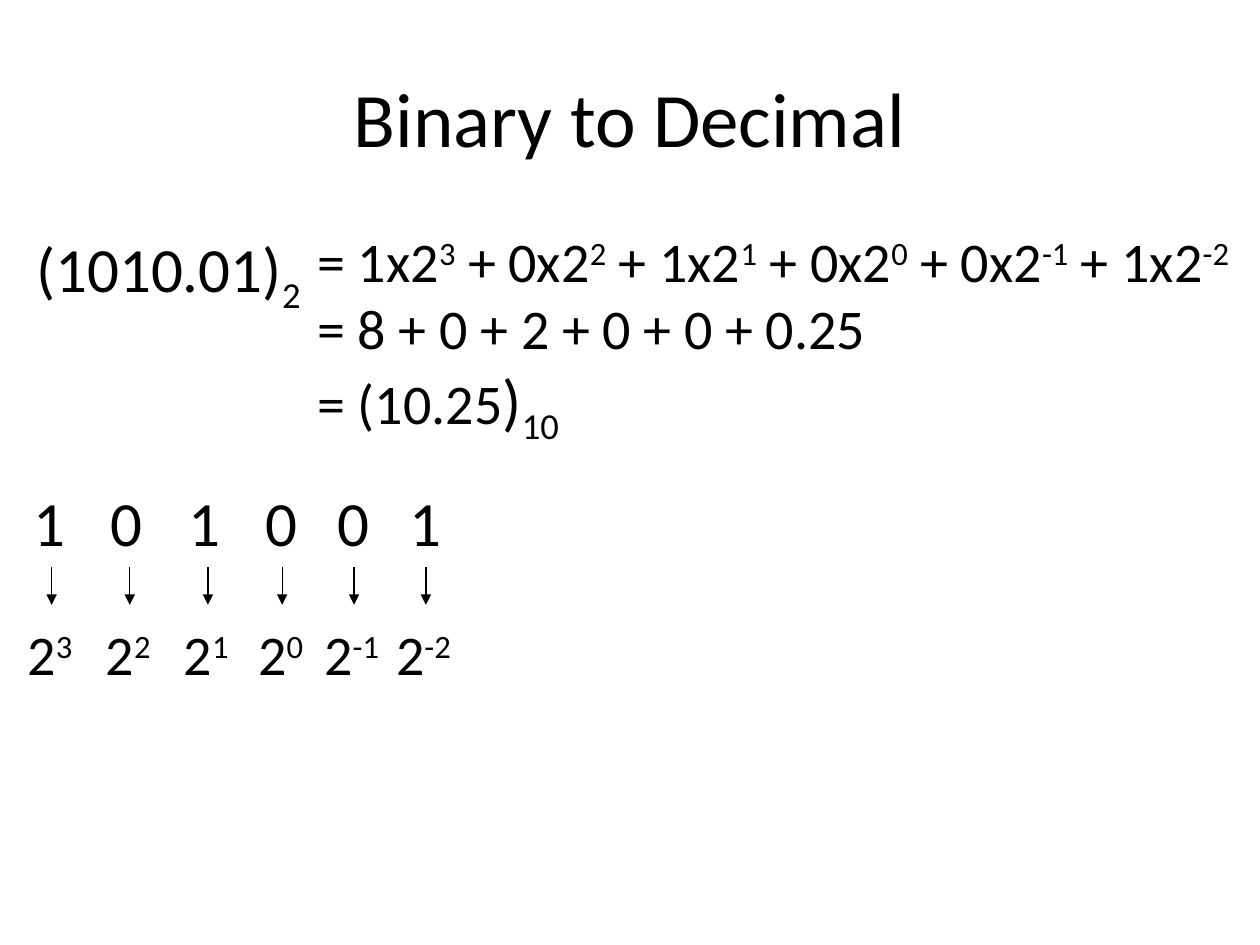
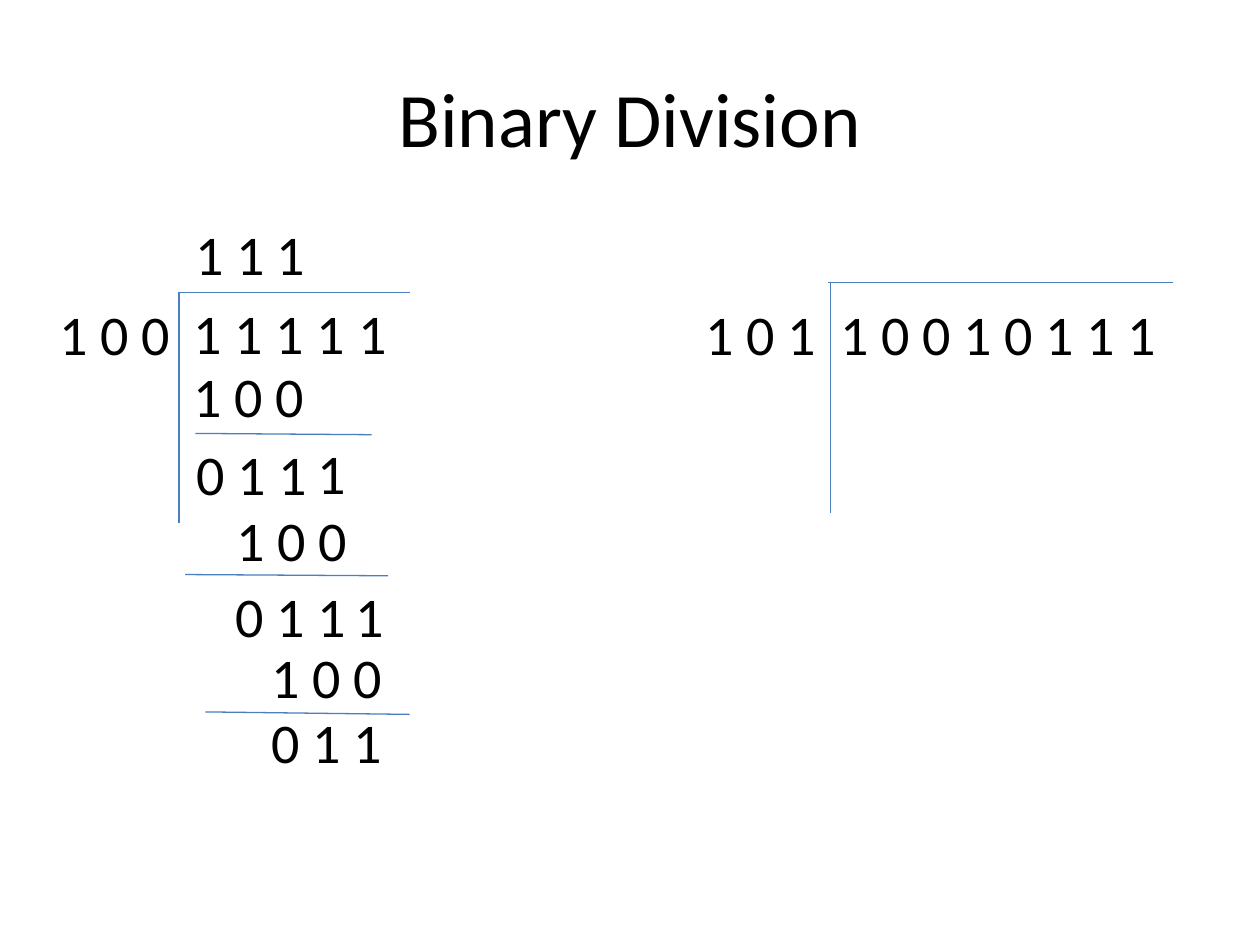
"""Build two slides on binary conversion and binary division."""
from dataclasses import dataclass

from lxml import etree
from pptx import Presentation
from pptx import util as u
from pptx.dml.color import RGBColor
from pptx.enum import shapes, text
from pptx.oxml import ns


@dataclass(frozen=True)
class Theme:
    font: str = "Calibri"
    ink: str = "000000"
    rule: str = "4B7EBC"
    title: int = 44
    large: int = 36
    body: int = 32
    stroke: float = 0.75
    raised: int = 30
    lowered: int = -25


class SlideBuilder:
    def __init__(self, deck, theme):
        self.deck = deck
        self.theme = theme
        self.page = None

    def start(self, title):
        self.page = self.deck.slides.add_slide(self.deck.slide_layouts[6])
        frame = self.box(0.5, 0.3, 9, 1.25, wrap=True)
        frame.vertical_anchor = text.MSO_ANCHOR.MIDDLE
        para = frame.paragraphs[0]
        para.alignment = text.PP_ALIGN.CENTER
        self.span(para, title, self.theme.title)

    def box(self, left, top, width, height, wrap=False):
        box = self.page.shapes.add_textbox(*map(u.Inches, (left, top, width, height)))
        frame = box.text_frame
        frame.word_wrap = wrap
        if not wrap:
            frame.auto_size = text.MSO_AUTO_SIZE.SHAPE_TO_FIT_TEXT
        return frame

    def span(self, para, words, size, shift=0):
        span = para.add_run()
        span.text = words
        span.font.name = self.theme.font
        span.font.size = u.Pt(size)
        span.font.color.rgb = RGBColor.from_string(self.theme.ink)
        if shift:
            span.font._element.set("baseline", str(shift * 1000))

    def label(self, left, top, width, height, *lines):
        frame = self.box(left, top, width, height)
        for index, spans in enumerate(lines):
            para = frame.add_paragraph() if index else frame.paragraphs[0]
            for span in spans:
                self.span(para, *span)
        return frame

    def line(self, start, end, color, arrow=False):
        line = self.page.shapes.add_connector(
            shapes.MSO_CONNECTOR.STRAIGHT, *map(u.Inches, (*start, *end)))
        line.line.color.rgb = RGBColor.from_string(color)
        line.line.width = u.Pt(self.theme.stroke)
        if arrow:
            etree.SubElement(line.line._get_or_add_ln(), ns.qn("a:tailEnd"), type="triangle")
        etree.SubElement(line._element.spPr, ns.qn("a:effectLst"))

    def digits(self, left, top, bits):
        width = {1: 0.53, 3: 1.09, 5: 1.85, 8: 2.74}[len(bits)]
        self.label(left, top, width, 0.64, [(" ".join(bits), self.theme.body)])

    def rule(self, start, end):
        self.line(start, end, self.theme.rule)


def binary_to_decimal(builder):
    theme = builder.theme
    builder.start("Binary to Decimal")
    builder.label(0.19, 1.77, 2.34, 0.71,
                  [("(1010.01)", theme.large), ("2", theme.large, theme.lowered)])

    columns = [("1", 3, 0.17, 0.41), ("0", 2, 0.78, 1.03), ("1", 1, 1.4, 1.65),
               ("0", 0, 2.01, 2.24), ("0", -1, 2.58, 2.81), ("1", -2, 3.15, 3.38)]
    expansion = []
    for digit, power, left, arrow in columns:
        builder.label(left, 3.79, 0.46, 0.71, [(digit, theme.large)])
        builder.line((arrow, 4.5), (arrow, 4.8), theme.ink, arrow=True)
        exponent = (str(power), theme.body, theme.raised)
        width = 0.67 if power < 0 else 0.58
        place = builder.label(arrow - width / 2, 4.83, width, 0.65,
                              [("2", theme.body), exponent]).paragraphs[0]
        place.line_spacing = 1.07
        place.space_after = u.Pt(8)
        lead = " + " if expansion else "= "
        expansion += [(f"{lead}{digit}x2", theme.body), exponent]

    builder.label(2.42, 1.75, 7.77, 1.78,
                  expansion,
                  [("= 8 + 0 + 2 + 0 + 0 + 0.25", theme.body)],
                  [("= (10.25", theme.body), (")", theme.large),
                   ("10", theme.large, theme.lowered)])


def binary_division(builder):
    builder.start("Binary Division")
    builder.rule((1.42, 2.32), (1.42, 4.15))
    builder.rule((1.42, 2.32), (3.25, 2.32))
    builder.rule((6.59, 2.24), (6.59, 4.07))
    builder.rule((6.57, 2.24), (9.31, 2.24))

    subtractions = [((1.55, 3.44), (2.95, 3.45)),
                    ((1.47, 4.56), (3.08, 4.57)),
                    ((1.63, 5.65), (3.25, 5.67))]
    for start, end in subtractions:
        builder.rule(start, end)

    quotient = [(left, 1.69, "1") for left in (1.45, 1.78, 2.1)]
    operands = [(0.37, 2.33, "100"), (1.44, 2.32, "11111"),
                (5.5, 2.33, "101"), (6.57, 2.33, "10010111")]
    steps = [(1.44, 2.82, "100"),
             (1.46, 3.44, "011"), (2.42, 3.43, "1"), (1.78, 3.96, "100"),
             (1.77, 4.57, "011"), (2.72, 4.57, "1"), (2.06, 5.05, "100"),
             (2.06, 5.57, "011")]
    for left, top, bits in quotient + operands + steps:
        builder.digits(left, top, bits)


def main():
    deck = Presentation()
    deck.slide_width = u.Inches(10)
    deck.slide_height = u.Inches(7.5)
    builder = SlideBuilder(deck, Theme())
    binary_to_decimal(builder)
    binary_division(builder)
    deck.save("out.pptx")


if __name__ == "__main__":
    main()
